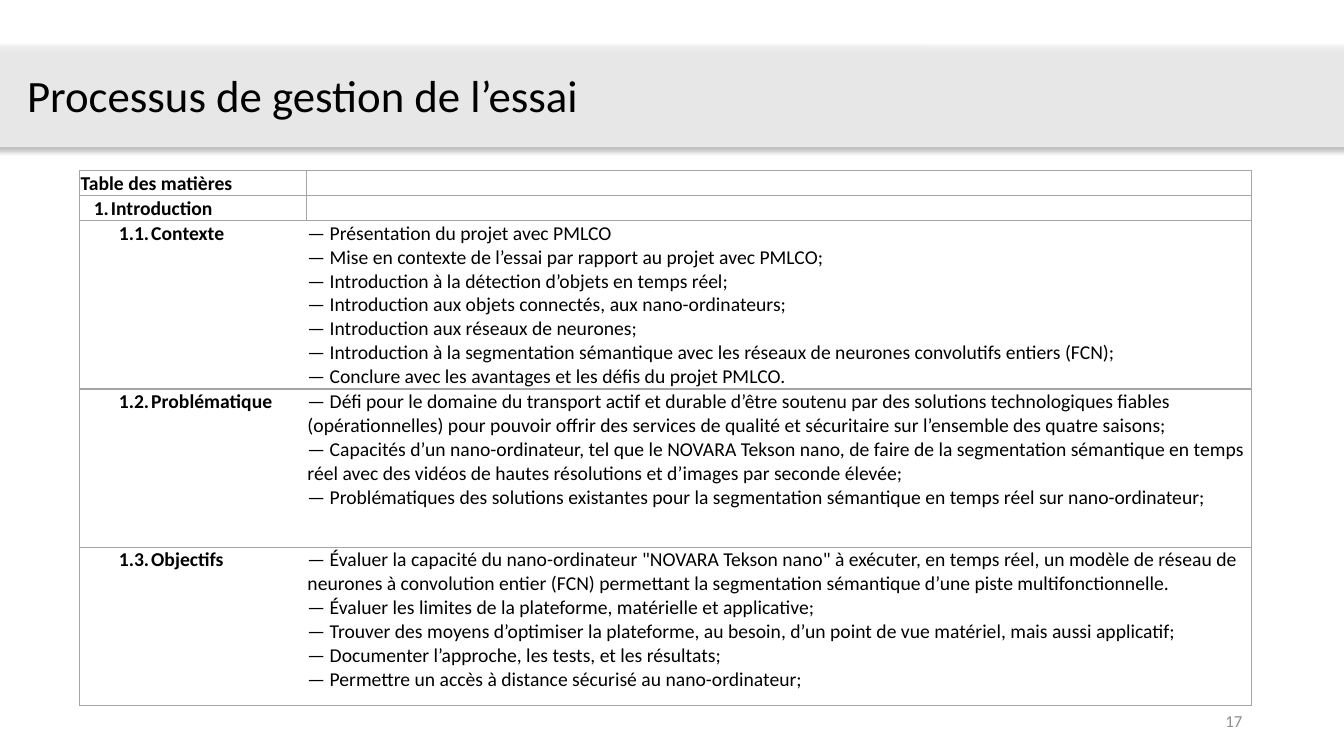
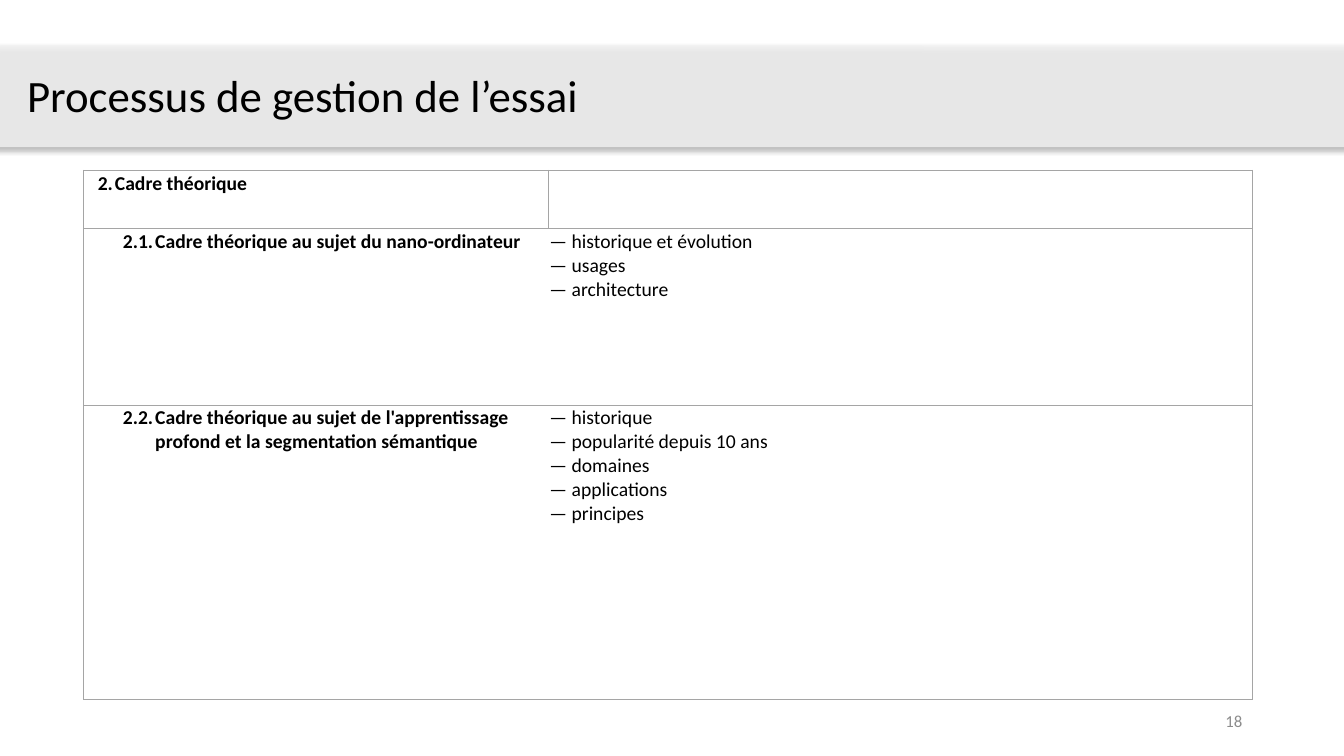
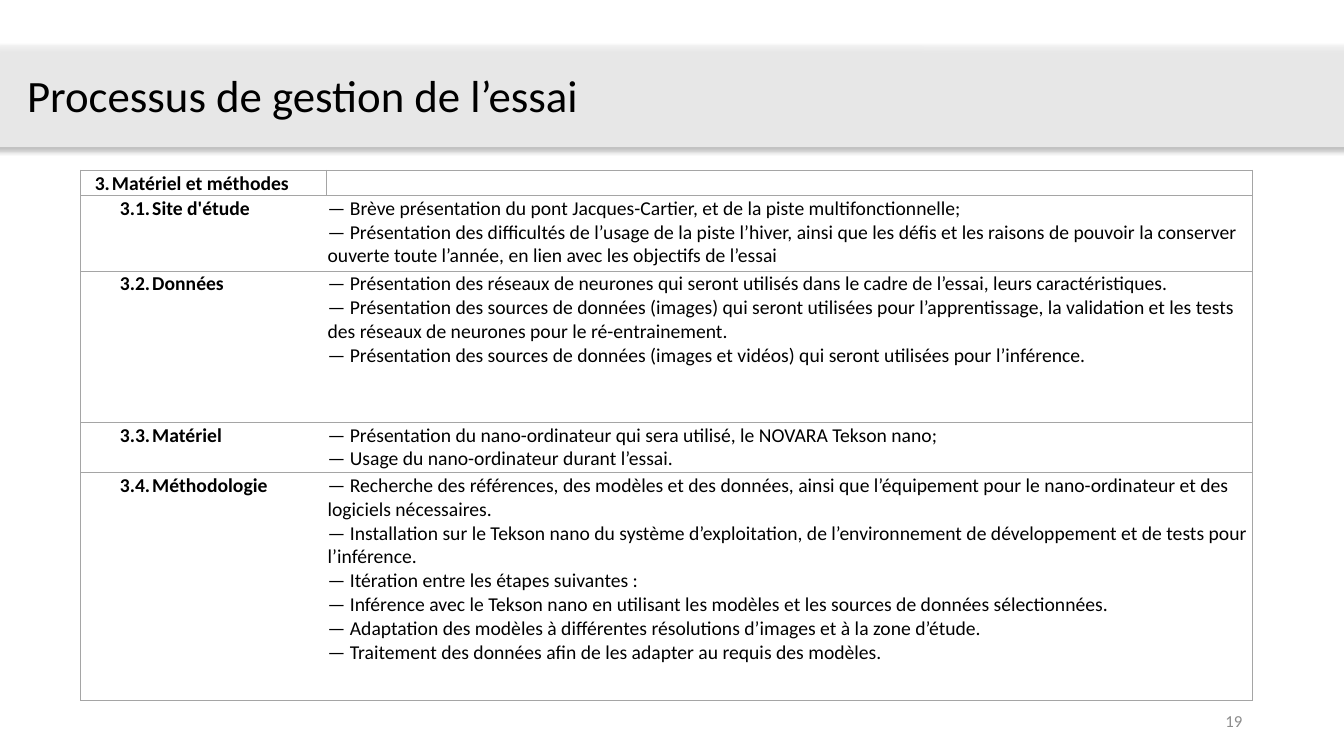
from dataclasses import dataclass

from lxml.etree import SubElement
from pptx import Presentation
from pptx.dml.color import RGBColor
from pptx.enum.shapes import MSO_SHAPE as Preset
from pptx.enum.text import MSO_ANCHOR as Anchor, MSO_AUTO_SIZE as AutoSize, PP_ALIGN as Align
from pptx.oxml.ns import qn
from pptx.slide import Slide
from pptx.table import Table, _Cell as Cell
from pptx.text.text import TextFrame
from pptx.util import Inches, Pt

# Shared style
FONT = "Calibri"
BLACK = RGBColor(0x00, 0x00, 0x00)
WHITE = RGBColor(0xFF, 0xFF, 0xFF)
BAND_GREY = RGBColor(0xF2, 0xF2, 0xF2)
PAGE_GREY = RGBColor(0x8C, 0x8C, 0x8C)
BORDER_GREY = RGBColor(0xA5, 0xA5, 0xA5)
TITLE = "Processus de gestion de l’essai"
CELL_SIZE = 14
TABLE_TOP = 1.69
FIRST_PAGE = 17
HEAD_COLUMN, NUMBER_COLUMN, NAME_COLUMN, GAP_COLUMN, NOTES_COLUMN = range(5)


@dataclass(frozen=True)
class Section:
    name: str
    height: float
    notes: tuple[str, ...]


@dataclass(frozen=True)
class Chapter:
    name: str
    left: float
    column_widths: tuple[float, ...]
    heading_height: float
    sections: tuple[Section, ...]
    table_heading: str = ""


# Content
CHAPTERS = (
    Chapter("Introduction", 0.79, (0.3, 0.4, 1.32, 0.23, 9.37), 0.25, (
        Section("Contexte", 1.67, (
            "Présentation du projet avec PMLCO",
            "Mise en contexte de l’essai par rapport au projet avec PMLCO;",
            "Introduction à la détection d’objets en temps réel;",
            "Introduction aux objets connectés, aux nano-ordinateurs;",
            "Introduction aux réseaux de neurones;",
            "Introduction à la segmentation sémantique avec les réseaux de neurones "
            "convolutifs entiers (FCN);",
            "Conclure avec les avantages et les défis du projet PMLCO.",
        )),
        Section("Problématique", 1.57, (
            "Défi pour le domaine du transport actif et durable d’être soutenu par des "
            "solutions technologiques fiables (opérationnelles) pour pouvoir offrir des "
            "services de qualité et sécuritaire sur l’ensemble des quatre saisons;",
            "Capacités d’un nano-ordinateur, tel que le NOVARA Tekson nano, de faire de la "
            "segmentation sémantique en temps réel avec des vidéos de hautes résolutions et "
            "d’images par seconde élevée;",
            "Problématiques des solutions existantes pour la segmentation sémantique en "
            "temps réel sur nano-ordinateur;",
        )),
        Section("Objectifs", 1.57, (
            "Évaluer la capacité du nano-ordinateur \"NOVARA Tekson nano\" à exécuter, en "
            "temps réel, un modèle de réseau de neurones à convolution entier (FCN) "
            "permettant la segmentation sémantique d’une piste multifonctionnelle.",
            "Évaluer les limites de la plateforme, matérielle et applicative;",
            "Trouver des moyens d’optimiser la plateforme, au besoin, d’un point de vue "
            "matériel, mais aussi applicatif;",
            "Documenter l’approche, les tests, et les résultats;",
            "Permettre un accès à distance sécurisé au nano-ordinateur;",
        )),
    ), table_heading="Table des matières"),
    Chapter("Cadre théorique", 0.83, (0.3, 0.4, 3.72, 0.19, 6.98), 0.58, (
        Section("Cadre théorique au sujet du nano-ordinateur", 1.75, (
            "historique et évolution", "usages", "architecture",
        )),
        Section("Cadre théorique au sujet de l'apprentissage profond et la segmentation "
                "sémantique", 2.92, (
            "historique", "popularité depuis 10 ans", "domaines", "applications", "principes",
        )),
    )),
    Chapter("Matériel et méthodes", 0.8, (0.3, 0.4, 1.46, 0.28, 9.18), 0.25, (
        Section("Site d'étude", 0.75, (
            "Brève présentation du pont Jacques-Cartier, et de la piste multifonctionnelle;",
            "Présentation des difficultés de l’usage de la piste l’hiver, ainsi que les défis "
            "et les raisons de pouvoir la conserver ouverte toute l’année, en lien avec les "
            "objectifs de l’essai",
        )),
        Section("Données", 1.5, (
            "Présentation des réseaux de neurones qui seront utilisés dans le cadre de "
            "l’essai, leurs caractéristiques.",
            "Présentation des sources de données (images) qui seront utilisées pour "
            "l’apprentissage, la validation et les tests des réseaux de neurones pour le "
            "ré-entrainement.",
            "Présentation des sources de données (images et vidéos) qui seront utilisées "
            "pour l’inférence.",
        )),
        Section("Matériel", 0.5, (
            "Présentation du nano-ordinateur qui sera utilisé, le NOVARA Tekson nano;",
            "Usage du nano-ordinateur durant l’essai.",
        )),
        Section("Méthodologie", 2.26, (
            "Recherche des références, des modèles et des données, ainsi que l’équipement "
            "pour le nano-ordinateur et des logiciels nécessaires.",
            "Installation sur le Tekson nano du système d’exploitation, de l’environnement de "
            "développement et de tests pour l’inférence.",
            "Itération entre les étapes suivantes :",
            "Inférence avec le Tekson nano en utilisant les modèles et les sources de données "
            "sélectionnées.",
            "Adaptation des modèles à différentes résolutions d’images et à la zone d’étude.",
            "Traitement des données afin de les adapter au requis des modèles.",
        )),
    )),
)


# Text
def write(text_frame: TextFrame, text: str, size: float, color: RGBColor = BLACK,
          bold: bool = False, align: Align = Align.LEFT) -> None:
    text_frame.text = text
    for paragraph in text_frame.paragraphs:
        paragraph.alignment = align
        for run in paragraph.runs:
            run.font.name = FONT
            run.font.size = Pt(size)
            run.font.bold = bold
            run.font.color.rgb = color


# Band, title and page number
def draw_band(slide: Slide) -> None:
    band = slide.shapes.add_shape(Preset.ROUNDED_RECTANGLE, Inches(-0.19), Inches(0.45),
                                  Inches(13.7), Inches(1.01))
    band.fill.solid()
    band.fill.fore_color.rgb = BAND_GREY
    band.line.fill.background()
    band.shadow.inherit = False
    properties = band._element.spPr
    fill_color = properties.find(qn("a:solidFill")).find(qn("a:srgbClr"))
    SubElement(fill_color, qn("a:alpha"), val="80000")
    shadow = SubElement(properties.find(qn("a:effectLst")), qn("a:outerShdw"),
                        blurRad=str(Pt(3.5)), dist=str(Pt(2.2)), dir="5400000",
                        algn="ctr", rotWithShape="0")
    shadow_color = SubElement(shadow, qn("a:srgbClr"), val=str(BLACK))
    SubElement(shadow_color, qn("a:alpha"), val="32000")


def draw_title(slide: Slide) -> None:
    box = slide.shapes.add_textbox(Inches(0.17), Inches(0.67), Inches(13.16), Inches(0.59))
    box.text_frame.word_wrap = True
    box.text_frame.auto_size = AutoSize.SHAPE_TO_FIT_TEXT
    write(box.text_frame, TITLE, 32)
    box.text_frame.paragraphs[0].line_spacing = Pt(35)


def draw_page_number(slide: Slide, page: int) -> None:
    box = slide.shapes.add_textbox(Inches(9.42), Inches(6.95), Inches(3), Inches(0.4))
    box.text_frame.word_wrap = True
    box.text_frame.vertical_anchor = Anchor.MIDDLE
    write(box.text_frame, str(page), 12, PAGE_GREY, align=Align.RIGHT)


# Table
def set_borders(cell: Cell, visible_sides: str) -> None:
    properties = cell._tc.get_or_add_tcPr()
    for side in "LRTB":
        line = SubElement(properties, qn(f"a:ln{side}"), w=str(Pt(1)))
        if side in visible_sides:
            fill = SubElement(line, qn("a:solidFill"))
            SubElement(fill, qn("a:srgbClr"), val=str(BORDER_GREY))
        else:
            SubElement(line, qn("a:noFill"))


def style_cells(table: Table, heading_count: int) -> None:
    for row_index, row in enumerate(table.rows):
        for column, cell in enumerate(row.cells):
            sides = "TB"
            if column == HEAD_COLUMN:
                sides += "L"
            if column == NOTES_COLUMN:
                sides += "R"
            if row_index < heading_count:
                sides += {GAP_COLUMN: "R", NOTES_COLUMN: "L"}.get(column, "")
            set_borders(cell, sides)
            cell.fill.solid()
            cell.fill.fore_color.rgb = WHITE
            cell.margin_left = cell.margin_right = cell.margin_top = Inches(0.01)
            cell.margin_bottom = 0
            if not cell.text_frame.text:
                # Keep empty cells from stretching their row
                SubElement(cell.text_frame.paragraphs[0]._p, qn("a:endParaRPr"),
                           sz=str(CELL_SIZE * 100))


def write_label(table: Table, row: int, column: int, number: str, name: str) -> None:
    write(table.cell(row, column).text_frame, number, CELL_SIZE, bold=True, align=Align.RIGHT)
    write(table.cell(row, column + 1).text_frame, name, CELL_SIZE, bold=True)


def draw_chapter(slide: Slide, chapter: Chapter, number: int) -> None:
    heading_count = 2 if chapter.table_heading else 1
    heights = [chapter.heading_height] * heading_count
    heights += [section.height for section in chapter.sections]
    frame = slide.shapes.add_table(len(heights), len(chapter.column_widths),
                                   Inches(chapter.left), Inches(TABLE_TOP),
                                   Inches(sum(chapter.column_widths)), Inches(sum(heights)))
    table = frame.table
    table.first_row = table.horz_banding = False
    for column, width in zip(table.columns, chapter.column_widths):
        column.width = Inches(width)
    for row, height in zip(table.rows, heights):
        row.height = Inches(height)

    # Heading rows
    if chapter.table_heading:
        table.cell(0, HEAD_COLUMN).merge(table.cell(0, NAME_COLUMN))
        write(table.cell(0, HEAD_COLUMN).text_frame, chapter.table_heading, CELL_SIZE, bold=True)
    chapter_row = heading_count - 1
    table.cell(chapter_row, NUMBER_COLUMN).merge(table.cell(chapter_row, NAME_COLUMN))
    write_label(table, chapter_row, HEAD_COLUMN, f"{number}.", chapter.name)

    # Section rows
    for index, section in enumerate(chapter.sections, start=1):
        row_index = chapter_row + index
        write_label(table, row_index, NUMBER_COLUMN, f"{number}.{index}.", section.name)
        notes = "\n".join(f"— {note}" for note in section.notes)
        write(table.cell(row_index, NOTES_COLUMN).text_frame, notes, CELL_SIZE)
    style_cells(table, heading_count)


def main() -> None:
    presentation = Presentation()
    presentation.slide_width = Inches(13.33)
    presentation.slide_height = Inches(7.5)
    blank_layout = presentation.slide_layouts[6]
    for number, chapter in enumerate(CHAPTERS, start=1):
        slide = presentation.slides.add_slide(blank_layout)
        draw_band(slide)
        draw_title(slide)
        draw_page_number(slide, FIRST_PAGE + number - 1)
        draw_chapter(slide, chapter, number)
    presentation.save("out.pptx")


if __name__ == "__main__":
    main()
